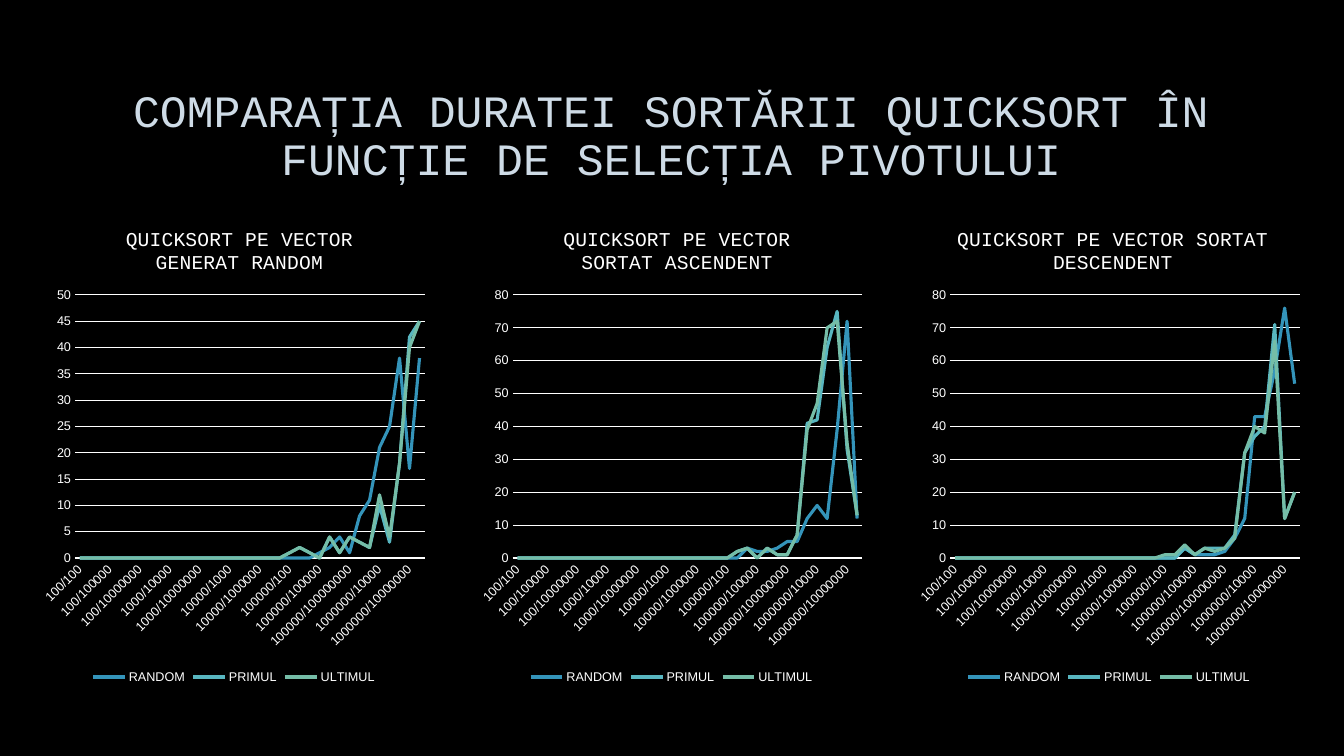
from lxml import etree
from pptx import Presentation
from pptx.chart.data import CategoryChartData
from pptx.dml.color import RGBColor
from pptx.enum import chart as ch, text as tx
from pptx.oxml.ns import qn
from pptx.util import Inches, Pt

BLACK = RGBColor(0x00, 0x00, 0x00)
WHITE = RGBColor(0xFF, 0xFF, 0xFF)
PALE_BLUE = RGBColor(0xCE, 0xDB, 0xE6)
PIVOT_COLORS = {
    "RANDOM": RGBColor(0x34, 0x94, 0xBA),
    "PRIMUL": RGBColor(0x58, 0xB6, 0xC0),
    "ULTIMUL": RGBColor(0x75, 0xBD, 0xA7),
}


def write(frame, content, size, color, font="Courier New", spacing=None):
    frame.text = content
    for paragraph in frame.paragraphs:
        paragraph.alignment = tx.PP_ALIGN.CENTER
        paragraph.line_spacing = spacing
        for run in paragraph.runs:
            run.font.name, run.font.size, run.font.bold = font, Pt(size), False
            run.font.color.rgb = color


def place(part, index, **fractions):
    """Give a chart part a manual layout in fractions of the chart."""
    for old in part.findall(qn("c:layout")):
        part.remove(old)
    layout = etree.Element(qn("c:layout"))
    manual = etree.SubElement(layout, qn("c:manualLayout"))
    for tag, value in fractions.items():
        etree.SubElement(manual, qn("c:" + tag)).set("val", str(value))
    part.insert(index, layout)


prs = Presentation()
prs.slide_width, prs.slide_height = Inches(13.33), Inches(7.5)
slide = prs.slides.add_slide(prs.slide_layouts[6])
slide.background.fill.solid()
slide.background.fill.fore_color.rgb = BLACK

# Heading
heading = slide.shapes.add_textbox(Inches(1), Inches(0.67), Inches(11.32), Inches(1.38)).text_frame
heading.word_wrap = True
heading.vertical_anchor = tx.MSO_ANCHOR.MIDDLE
write(heading, "COMPARAȚIA DURATEI SORTĂRII QUICKSORT ÎN FUNCȚIE DE SELECȚIA PIVOTULUI",
      size=32, color=PALE_BLUE, spacing=0.9)

# Categories: vector length / largest value
cases = [f"{10 ** length}/{10 ** largest}"
         for length in range(2, 7) for largest in range(2, 9)]
cases[5:7] = ["100/1000000", "100/10000000"]

# Durations: leading zeros are left out and filled in below
sortings = [
    ("QUICKSORT PE VECTOR\nGENERAT RANDOM", 50, 5, {
        "RANDOM": [1, 2, 4, 1, 8, 11, 21, 25, 38, 17, 38],
        "PRIMUL": [1, 2, 1, 0, 4, 1, 4, 3, 2, 10, 3, 18, 42, 45],
        "ULTIMUL": [1, 2, 1, 0, 4, 1, 4, 3, 2, 12, 4, 18, 40, 45]}),
    ("QUICKSORT PE VECTOR\nSORTAT ASCENDENT", 80, 10, {
        "RANDOM": [3, 2, 2, 3, 5, 5, 12, 16, 12, 39, 72, 12],
        "PRIMUL": [2, 3, 0, 3, 1, 1, 7, 41, 42, 64, 75, 33, 13],
        "ULTIMUL": [2, 3, 0, 3, 1, 1, 7, 39, 47, 70, 72, 35, 13]}),
    ("QUICKSORT PE VECTOR SORTAT\nDESCENDENT", 80, 10, {
        "RANDOM": [3, 1, 1, 1, 2, 6, 12, 43, 43, 57, 76, 53],
        "PRIMUL": [3, 1, 3, 3, 3, 7, 32, 37, 40, 71, 12, 20],
        "ULTIMUL": [1, 1, 4, 1, 3, 2, 3, 6, 32, 40, 38, 66, 12, 20]}),
]

# One line chart per kind of vector
for column, (caption, top_value, step, durations) in enumerate(sortings):
    data = CategoryChartData(number_format="General")
    data.categories = cases
    for pivot, tail in durations.items():
        data.add_series(pivot, [0] * (len(cases) - len(tail)) + tail)
    chart = slide.shapes.add_chart(
        ch.XL_CHART_TYPE.LINE, Inches(0.35 + 4.34 * column), Inches(2.04),
        Inches(3.94), Inches(4.79), data).chart
    chart.font.name, chart.font.size = "Arial", Pt(10)
    chart.font.color.rgb = WHITE

    # Caption, centred by its longest line
    chart.has_title = True
    write(chart.chart_title.text_frame, caption, size=14, color=WHITE)
    longest = max(len(line) for line in caption.split("\n"))
    place(chart.element.xpath("c:chart/c:title")[0], 1, xMode="edge", yMode="edge",
          x=round((1 - 0.03 * longest) / 2, 2), y=0.04)
    place(chart.element.xpath("c:chart/c:plotArea")[0], 0, layoutTarget="inner",
          xMode="edge", yMode="edge", x=0.1, y=0.185, w=0.88, h=0.545)

    # Legend
    chart.has_legend = True
    chart.legend.position = ch.XL_LEGEND_POSITION.BOTTOM
    chart.legend.include_in_layout = False
    label_fonts = [chart.legend.font]

    # Axes
    for axis in (chart.category_axis, chart.value_axis):
        axis.major_tick_mark = axis.minor_tick_mark = ch.XL_TICK_MARK.NONE
        label_fonts.append(axis.tick_labels.font)
    for font in label_fonts:
        font.name, font.size = "Arial", Pt(9)
        font.color.rgb = WHITE
    chart.value_axis.minimum_scale, chart.value_axis.maximum_scale = 0, top_value
    chart.value_axis.major_unit = step
    chart.value_axis.format.line.fill.background()
    for line in (chart.category_axis.format.line, chart.value_axis.major_gridlines.format.line):
        line.color.rgb, line.width = WHITE, Pt(0.75)

    # Slanted labels, every third case
    case_axis = chart.element.xpath("c:chart/c:plotArea/c:catAx")[0]
    case_axis.xpath("c:txPr/a:bodyPr")[0].set("rot", "-2700000")
    skip = etree.Element(qn("c:tickLblSkip"))
    skip.set("val", "3")
    case_axis.find(qn("c:noMultiLvlLbl")).addprevious(skip)

    # Pivot lines
    chart.plots[0].vary_by_categories = False
    for series in chart.plots[0].series:
        series.smooth = False
        series.marker.style = ch.XL_MARKER_STYLE.NONE
        series.format.line.color.rgb = PIVOT_COLORS[series.name]
        series.format.line.width = Pt(2.25)

prs.save("out.pptx")
